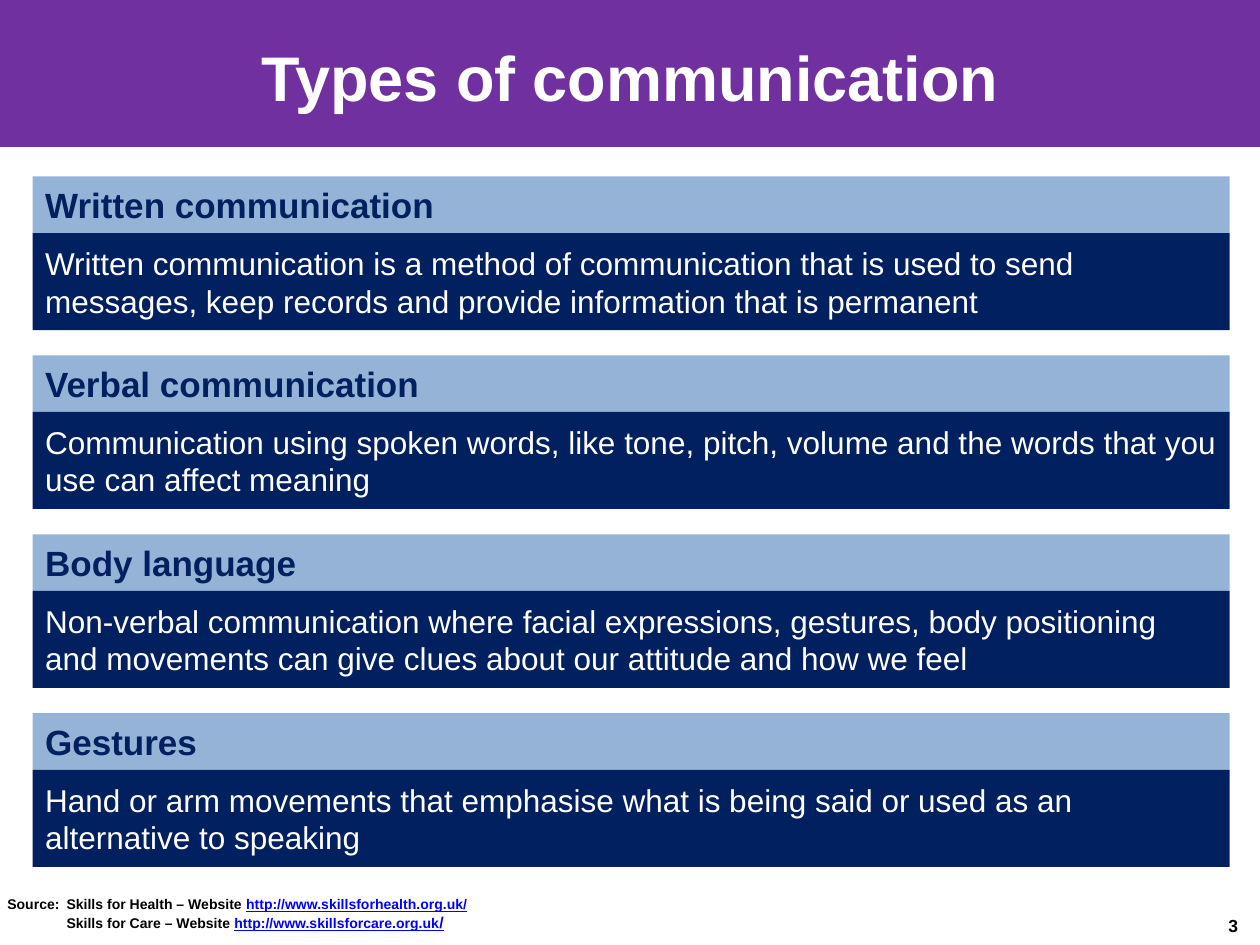
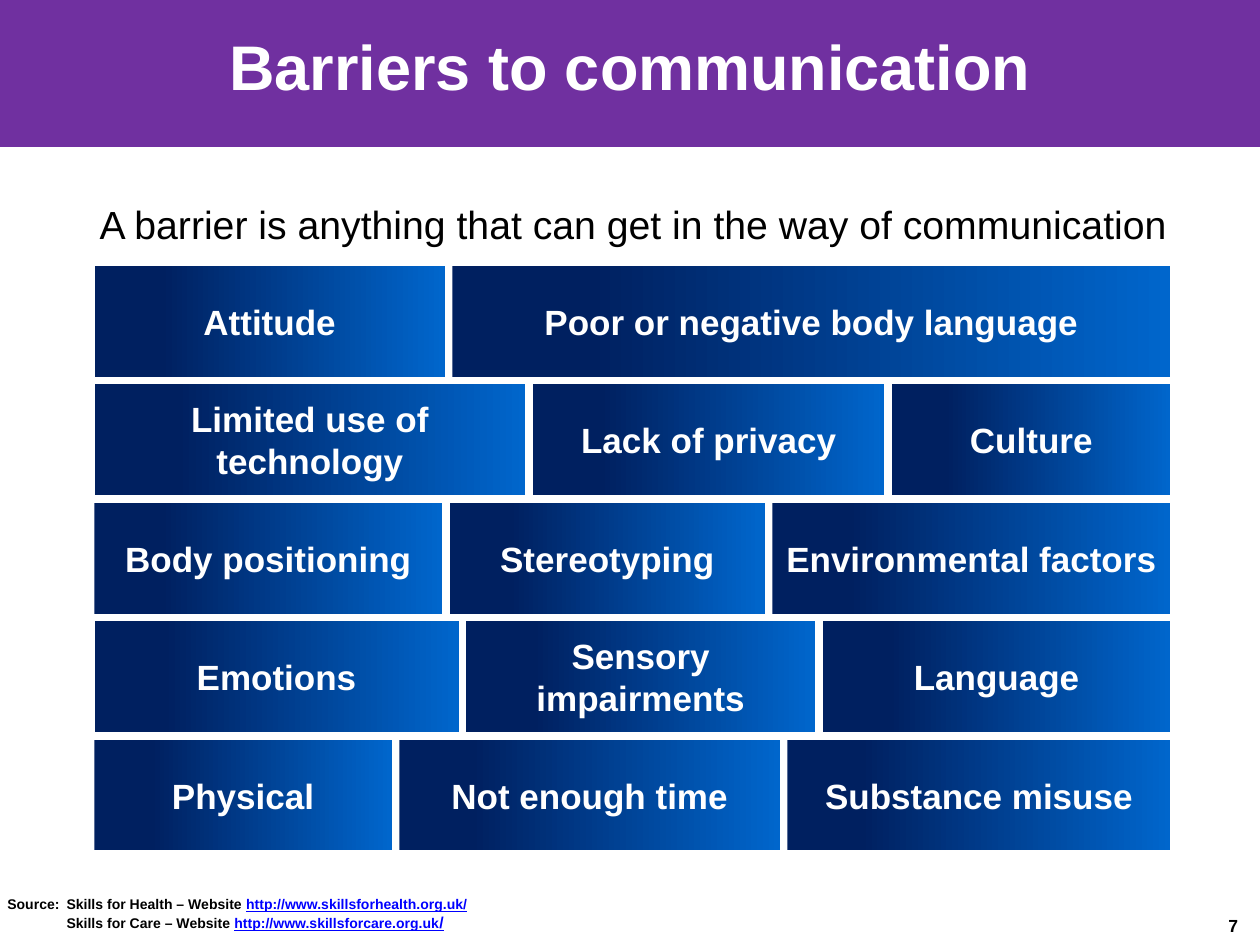
import pptx
import pptx.dml.color
import pptx.enum.shapes
import pptx.enum.text
import pptx.oxml
import pptx.oxml.ns
import pptx.util
from pptx.util import Inches

COLORS = {
    "purple": "7030A0",
    "navy": "002060",
    "blue": "0066CC",
    "pale": "95B3D7",
    "white": "FFFFFF",
    "black": "000000",
    "link": "0000FF",
}
CENTER = pptx.enum.text.PP_ALIGN.CENTER
LEFT = pptx.enum.text.PP_ALIGN.LEFT
MIDDLE = pptx.enum.text.MSO_ANCHOR.MIDDLE
TITLE_ONLY, TITLE_AND_BODY = 5, 1

COMMUNICATION_TYPES = [
    ("Written communication",
     "Written communication is a method of communication that is used to send "
     "messages, keep records and provide information that is permanent"),
    ("Verbal communication",
     "Communication using spoken words, like tone, pitch, volume and the words "
     "that you use can affect meaning"),
    ("Body language",
     "Non-verbal communication where facial expressions, gestures, body positioning "
     "and movements can give clues about our attitude and how we feel"),
    ("Gestures",
     "Hand or arm movements that emphasise what is being said or used as an "
     "alternative to speaking"),
]

# Each row of the wall: labels, and the widths of all bricks but the last
BARRIER_ROWS = [
    (["Attitude", "Poor or negative body language"], [2.78]),
    (["Limited use of technology", "Lack of privacy", "Culture"], [3.42, 2.79]),
    (["Body positioning", "Stereotyping", "Environmental factors"], [2.76, 2.5]),
    (["Emotions", "Sensory impairments", "Language"], [2.89, 2.77]),
    (["Physical", "Not enough time", "Substance misuse"], [2.36, 3.02]),
]


def rgb(name):
    return pptx.dml.color.RGBColor.from_string(COLORS[name])


class Deck:
    """Holds the style and the slide being built."""

    font = "Arial"
    source_indent = 0.47

    def __init__(self):
        self.prs = pptx.Presentation()
        self.prs.slide_width = Inches(10)
        self.prs.slide_height = Inches(7.5)
        self.s = None

    def style(self, r, size, color, bold=False, underline=False):
        r.font.name = self.font
        r.font.size = pptx.util.Pt(size)
        r.font.bold = bold
        r.font.underline = underline
        r.font.color.rgb = rgb(color)

    def set_text(self, sp, text, size, color, bold=False, align=LEFT):
        p = sp.text_frame.paragraphs[0]
        p.text = text
        p.alignment = align
        self.style(p.runs[0], size, color, bold)
        return p

    def place(self, sp, left, top, width, height):
        sp.left, sp.top = Inches(left), Inches(top)
        sp.width, sp.height = Inches(width), Inches(height)

    def add_slide(self, layout, title, title_box, number):
        self.s = self.prs.slides.add_slide(self.prs.slide_layouts[layout])
        # Title band, sent behind the title
        band = self.rect(0, 0, 10, 1.15, "purple")
        band.line.color.rgb = rgb("purple")
        band.line.width = pptx.util.Pt(2)
        self.s.shapes[0].element.addprevious(band.element)
        # Title
        sp = self.s.shapes.title
        self.place(sp, *title_box)
        sp.text_frame.vertical_anchor = MIDDLE
        self.set_text(sp, title, 36, "white", True, CENTER)
        self.footer(number)

    def rect(self, left, top, width, height, fill=None):
        sp = self.s.shapes.add_shape(
            pptx.enum.shapes.MSO_SHAPE.RECTANGLE,
            Inches(left), Inches(top), Inches(width), Inches(height))
        sp.shadow.inherit = False
        sp.line.fill.background()
        if fill:
            sp.fill.solid()
            sp.fill.fore_color.rgb = rgb(fill)
        sp.text_frame.vertical_anchor = MIDDLE
        return sp

    def brick(self, left, top, width, height, text):
        sp = self.rect(left, top, width, height)
        sp.fill.gradient()
        sp.fill.gradient_angle = 0
        stops = [(0.19, "navy"), (1, "blue")]
        for stop, (position, color) in zip(sp.fill.gradient_stops, stops):
            stop.position = position
            stop.color.rgb = rgb(color)
        self.set_text(sp, text, 20, "white", True, CENTER)

    def text_box(self, left, top, width, height, wrap=True):
        sp = self.s.shapes.add_textbox(
            Inches(left), Inches(top), Inches(width), Inches(height))
        sp.text_frame.word_wrap = wrap
        return sp

    def lead(self, text, left, top, width, height):
        sp = self.s.placeholders[1]
        self.place(sp, left, top, width, height)
        p = self.set_text(sp, text, 22.4, "black")
        p.space_before = pptx.util.Pt(0)
        pPr = p._p.get_or_add_pPr()
        pPr.set("marL", "0")
        pPr.set("indent", "0")
        pPr.append(pptx.oxml.parse_xml(
            f"<a:buNone {pptx.oxml.ns.nsdecls('a')}/>"))

    def footer(self, number):
        # Sources: both site names start at the same indent
        tf = self.text_box(-0.04, 7.06, 4.3, 0.39).text_frame
        lines = [
            [("Source:\tSkills for Health – Website ", 8, False),
             ("http://www.skillsforhealth.org.uk/", 8, True)],
            [("Skills for Care – Website ", 8, False),
             ("http://www.skillsforcare.org.uk", 8, True),
             ("/", 9, True)],
        ]
        indent = Inches(self.source_indent)
        for i, runs in enumerate(lines):
            p = tf.add_paragraph() if i else tf.paragraphs[0]
            pPr = p._p.get_or_add_pPr()
            pPr.set("marL", str(indent))
            pPr.set("indent", str(0 if i else -indent))
            for text, size, is_link in runs:
                r = p.add_run()
                r.text = text
                self.style(r, size, "link" if is_link else "black", True, is_link)
        # Slide number
        self.set_text(self.text_box(9.65, 7.21, 0.32, 0.27, wrap=False),
                      number, 10, "black", True)


def types_slide(deck):
    deck.add_slide(TITLE_ONLY, "Types of communication", (0, 0.1, 10, 1.01), "3")
    left, width, head_height, text_height = 0.26, 9.5, 0.45, 0.77
    for i, (heading, text) in enumerate(COMMUNICATION_TYPES):
        top = 1.4 + 1.42 * i
        head = deck.rect(left, top, width, head_height, "pale")
        deck.set_text(head, heading, 20, "navy", True)
        body = deck.rect(left, top + head_height, width, text_height, "navy")
        deck.set_text(body, text, 18, "white")


def barriers_slide(deck):
    deck.add_slide(TITLE_AND_BODY, "Barriers to communication",
                   (0.5, -0.11, 9, 1.25), "7")
    deck.lead("A barrier is anything that can get in the way of communication",
              0.69, 1.54, 9.51, 0.5)
    # Wall of bricks, the last in each row reaching the right edge
    wall_left, wall_right, gap, height = 0.75, 9.29, 0.06, 0.88
    for row, (labels, widths) in enumerate(BARRIER_ROWS):
        left = wall_left
        top = 2.11 + row * (height + gap)
        last = wall_right - wall_left - sum(widths) - gap * len(widths)
        for label, width in zip(labels, widths + [last]):
            deck.brick(left, top, width, height, label)
            left += width + gap


def main():
    deck = Deck()
    types_slide(deck)
    barriers_slide(deck)
    deck.prs.save("out.pptx")


if __name__ == "__main__":
    main()
